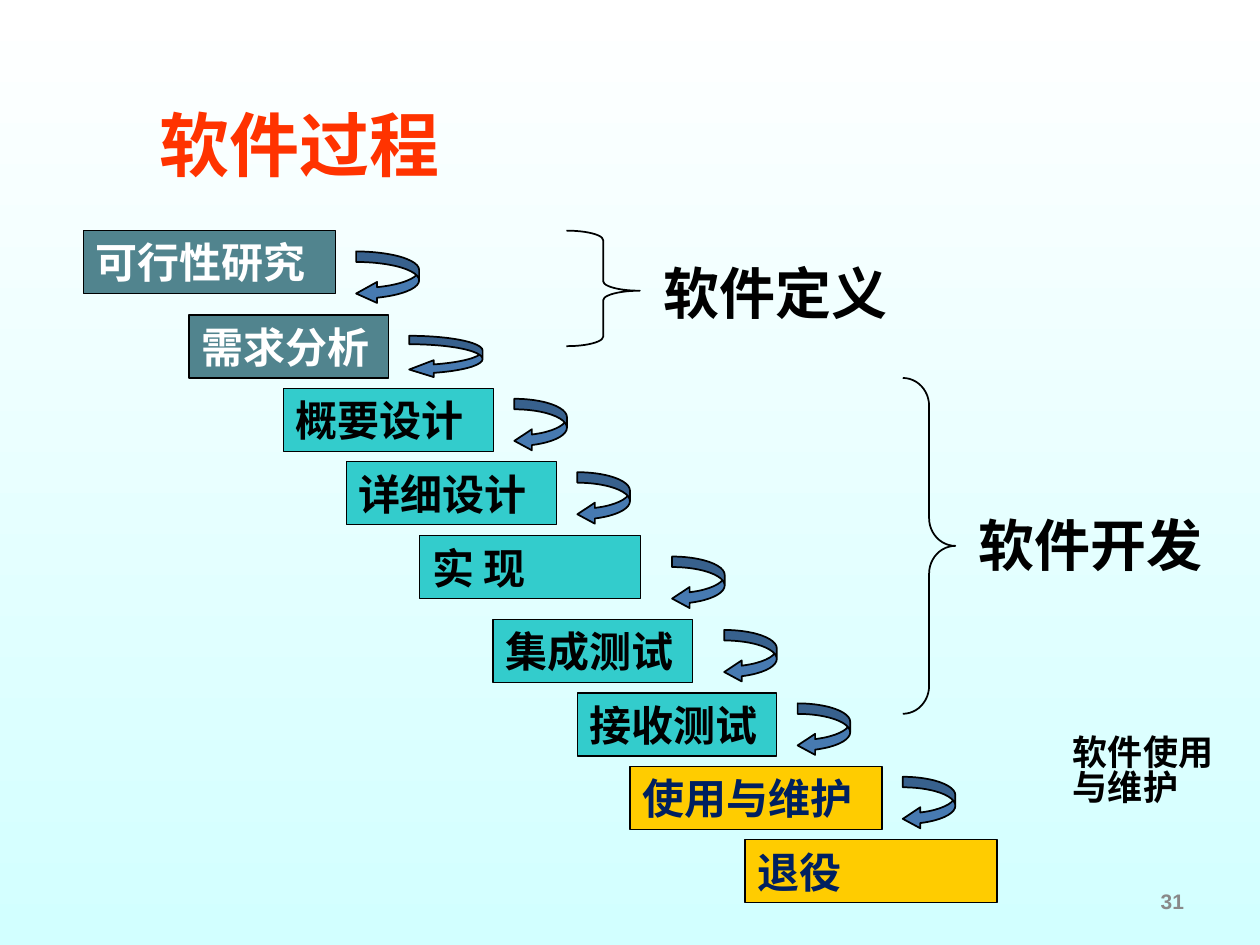
from lxml.etree import SubElement
from pptx import Presentation
from pptx.dml.color import RGBColor
from pptx.enum.shapes import MSO_SHAPE
from pptx.enum.text import MSO_ANCHOR, MSO_AUTO_SIZE, PP_ALIGN
from pptx.oxml.ns import qn
from pptx.util import Cm, Pt

THEME = {
    "latin": "Arial", "cjk": "Noto Sans CJK SC",
    "bg": ("FFFFFF", "D2FFFF"), "line": "000000", "arrow": "477AB1",
    "title": ("FF3300", 40), "label": ("000000", 32),
    "note": ("000000", 20), "number": ("898989", 12), "step": 24,
    "define": ("51848E", "FFFFFF"), "develop": ("33CCCC", "000000"),
    "use": ("FFCC00", "002060"),
}

TITLE = ("软件过程", (2.96, 1.91, 23.5, 1.96))
STEP_H = 1.27
NEAR, FAR = 0.42, 0.64
LOW, HIGH = 0.42, 0.21
SMALL = (1.06, 1.06)
# text, phase, left, top, width, arrow (gap, drop, size)
STEPS = [
    ("可行性研究", "define", 1.68, 4.65, 5.08, (NEAR, LOW, (1.27, 1.06))),
    ("需求分析", "define", 3.81, 6.35, 4.02, (NEAR, LOW, (1.48, 0.85))),
    ("概要设计", "develop", 5.71, 7.83, 4.24, (NEAR, HIGH, SMALL)),
    ("详细设计", "develop", 6.98, 9.31, 4.24, (NEAR, HIGH, SMALL)),
    ("实 现", "develop", 8.46, 10.8, 4.45, (FAR, LOW, SMALL)),
    ("集成测试", "develop", 9.94, 12.49, 4.02, (FAR, HIGH, SMALL)),
    ("接收测试", "develop", 11.64, 13.97, 4.02, (NEAR, HIGH, SMALL)),
    ("使用与维护", "use", 12.7, 15.45, 5.08, (NEAR, HIGH, SMALL)),
    ("退役", "use", 15.02, 16.93, 5.08, None),
]
BRACES = [
    ((11.42, 4.65, 1.48, 2.33), (0.13, 0.52)),
    ((18.2, 7.62, 1.06, 6.77), (0.53, 0.5)),
]
LABELS = [
    ("软件定义", "label", (13.12, 5.08, 5.08, 1.63), {"space_before": Pt(20)}),
    ("软件开发", "label", (19.47, 10.16, 5.08, 1.63), {"space_before": Pt(20)}),
    ("软件使用与维护", "note", (21.38, 14.6, 3.39, 1.96), {"line_spacing": 0.83}),
    ("31", "number", (18.2, 17.65, 5.92, 1.02), {"alignment": PP_ALIGN.RIGHT}),
]


def rgb(value):
    return RGBColor.from_string(value)


def apply(obj, values):
    for name, value in values.items():
        setattr(obj, name, value)


def write(sp, text, color, size, latin=THEME["latin"], **para):
    tf = sp.text_frame
    apply(tf, {"word_wrap": True, "auto_size": MSO_AUTO_SIZE.NONE,
               "vertical_anchor": MSO_ANCHOR.MIDDLE})
    p = tf.paragraphs[0]
    apply(p, {"alignment": PP_ALIGN.LEFT, **para})
    r = p.add_run()
    r.text = text
    apply(r.font, {"name": latin, "size": Pt(size), "bold": True})
    r.font.color.rgb = rgb(color)
    SubElement(r.font._element, qn("a:ea"), typeface=THEME["cjk"])


def add_shape(s, kind, box, fill=None, weight=1, adjust=()):
    sp = s.shapes.add_shape(kind, *map(Cm, box))
    sp.shadow.inherit = False
    if fill:
        sp.fill.solid()
        sp.fill.fore_color.rgb = rgb(fill)
    else:
        sp.fill.background()
    sp.line.color.rgb = rgb(THEME["line"])
    sp.line.width = Pt(weight)
    for i, value in enumerate(adjust):
        sp.adjustments[i] = value
    return sp


def add_step(s, text, phase, left, top, width, arrow):
    fill, color = THEME[phase]
    sp = add_shape(s, MSO_SHAPE.RECTANGLE, (left, top, width, STEP_H), fill, 0.75)
    write(sp, text, color, THEME["step"])
    if arrow:
        gap, drop, (w, h) = arrow
        add_shape(s, MSO_SHAPE.CURVED_LEFT_ARROW,
                  (left + width + gap, top + drop, w, h), THEME["arrow"],
                  adjust=(0.2, 0.4, w / h / 3))


def main():
    prs = Presentation()
    apply(prs, {"slide_width": Cm(25.4), "slide_height": Cm(19.05)})
    s = prs.slides.add_slide(prs.slide_layouts[5])

    bg = s.background.fill
    bg.gradient()
    bg.gradient_angle = 270
    for stop, color in zip(bg.gradient_stops, THEME["bg"]):
        stop.color.rgb = rgb(color)

    text, box = TITLE
    title = s.shapes.title
    apply(title, dict(zip(("left", "top", "width", "height"), map(Cm, box))))
    write(title, text, *THEME["title"], latin=THEME["cjk"],
          alignment=PP_ALIGN.JUSTIFY)

    for step in STEPS:
        add_step(s, *step)
    for box, adjust in BRACES:
        add_shape(s, MSO_SHAPE.RIGHT_BRACE, box, adjust=adjust)
    for text, style, box, para in LABELS:
        write(s.shapes.add_textbox(*map(Cm, box)), text, *THEME[style], **para)

    prs.save("out.pptx")


if __name__ == "__main__":
    main()
